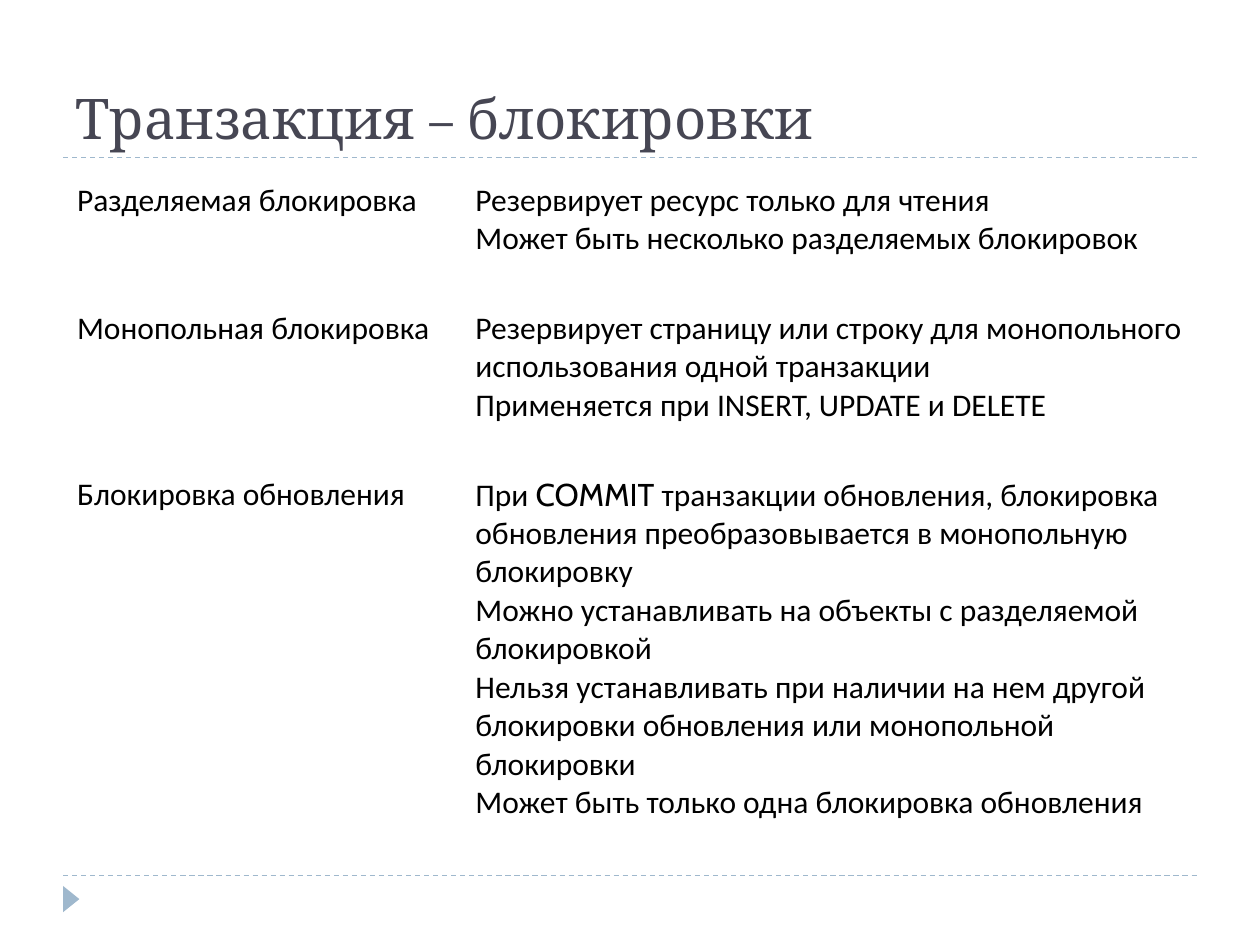
from pptx import Presentation
from pptx.dml.color import RGBColor as Rgb
from pptx.enum.dml import MSO_LINE_DASH_STYLE as Dash
from pptx.enum.shapes import MSO_CONNECTOR as Connector, MSO_SHAPE as Shape
from pptx.enum.text import MSO_ANCHOR as Anchor
from pptx.oxml.ns import qn
from pptx.util import Cm, Pt
from lxml.etree import SubElement

COLORS = {"title": "464653", "body": "000000", "accent": "9FB8CD"}

LOCKS = [
    ("Разделяемая блокировка", [
        ["Резервирует ресурс только для чтения"],
        ["Может быть несколько разделяемых блокировок"],
    ]),
    ("Монопольная блокировка", [
        ["Резервирует страницу или строку для монопольного использования одной транзакции"],
        ["Применяется при INSERT, UPDATE и DELETE"],
    ]),
    ("Блокировка обновления", [
        ["При ", ("COMMIT", "Cabin"),
         " транзакции обновления, блокировка обновления преобразовывается в монопольную блокировку"],
        ["Можно устанавливать на объекты с разделяемой блокировкой"],
        ["Нельзя устанавливать при наличии на нем другой блокировки обновления или монопольной блокировки"],
        ["Может быть только одна блокировка обновления"],
    ]),
]


def add_run(paragraph, text, *, font="Calibri", size=18, color="body"):
    run = paragraph.add_run()
    run.text = text
    run.font.name = font
    run.font.size = Pt(size)
    run.font.color.rgb = Rgb.from_string(COLORS[color])


class LockSlide:
    """Draws the elements of the slide in one shared style."""

    def __init__(self, slide):
        self.slide = slide
        self.left = Cm(1.27)
        self.width = Cm(22.86)

    def rule(self, y):
        rule = self.slide.shapes.add_connector(
            Connector.STRAIGHT, self.left, y, self.left + self.width, y)
        rule.line.color.rgb = Rgb.from_string(COLORS["accent"])
        rule.line.width = Pt(0.75)
        rule.line.dash_style = Dash.DASH
        SubElement(rule.element.spPr, qn("a:effectLst"))

    def marker(self, x, y, width, height):
        marker = self.slide.shapes.add_shape(Shape.ISOSCELES_TRIANGLE, x, y, width, height)
        marker.rotation = 90
        marker.shadow.inherit = False
        marker.fill.solid()
        marker.fill.fore_color.rgb = Rgb.from_string(COLORS["accent"])
        marker.line.fill.background()

    def title(self, text, y, height):
        frame = self.slide.shapes.add_textbox(self.left, y, self.width, height).text_frame
        frame.word_wrap = True
        frame.vertical_anchor = Anchor.BOTTOM
        add_run(frame.paragraphs[0], text, font="Cambria", size=32, color="title")

    def table(self, locks, y, widths, heights):
        table = self.slide.shapes.add_table(
            len(locks), len(widths), Cm(1.3), y, sum(widths), sum(heights)).table
        table.first_row = table.horz_banding = False
        for column, width in zip(table.columns, widths):
            column.width = width
        for row, height, (lock, rules) in zip(table.rows, heights, locks):
            row.height = height
            for cell, lines in zip(row.cells, ([[lock]], rules)):
                self.fill_cell(cell, lines)

    def fill_cell(self, cell, lines):
        cell.fill.background()
        frame = cell.text_frame
        for index, line in enumerate(lines):
            paragraph = frame.add_paragraph() if index else frame.paragraphs[0]
            for part in line:
                text, font = (part, "Calibri") if isinstance(part, str) else part
                add_run(paragraph, text, font=font)


def main():
    deck = Presentation()
    deck.slide_width, deck.slide_height = Cm(25.4), Cm(19.05)
    page = LockSlide(deck.slides.add_slide(deck.slide_layouts[6]))
    for y in (Cm(17.65), Cm(3.17)):
        page.rule(y)
    page.marker(Cm(1.17), Cm(17.96), Cm(0.53), Cm(0.33))
    page.title("Транзакция – блокировки", Cm(0.43), Cm(2.74))
    page.table(LOCKS, Cm(3.53), [Cm(8.03), Cm(14.83)], [Cm(2.58), Cm(3.35), Cm(8.1)])
    deck.save("out.pptx")


if __name__ == "__main__":
    main()
